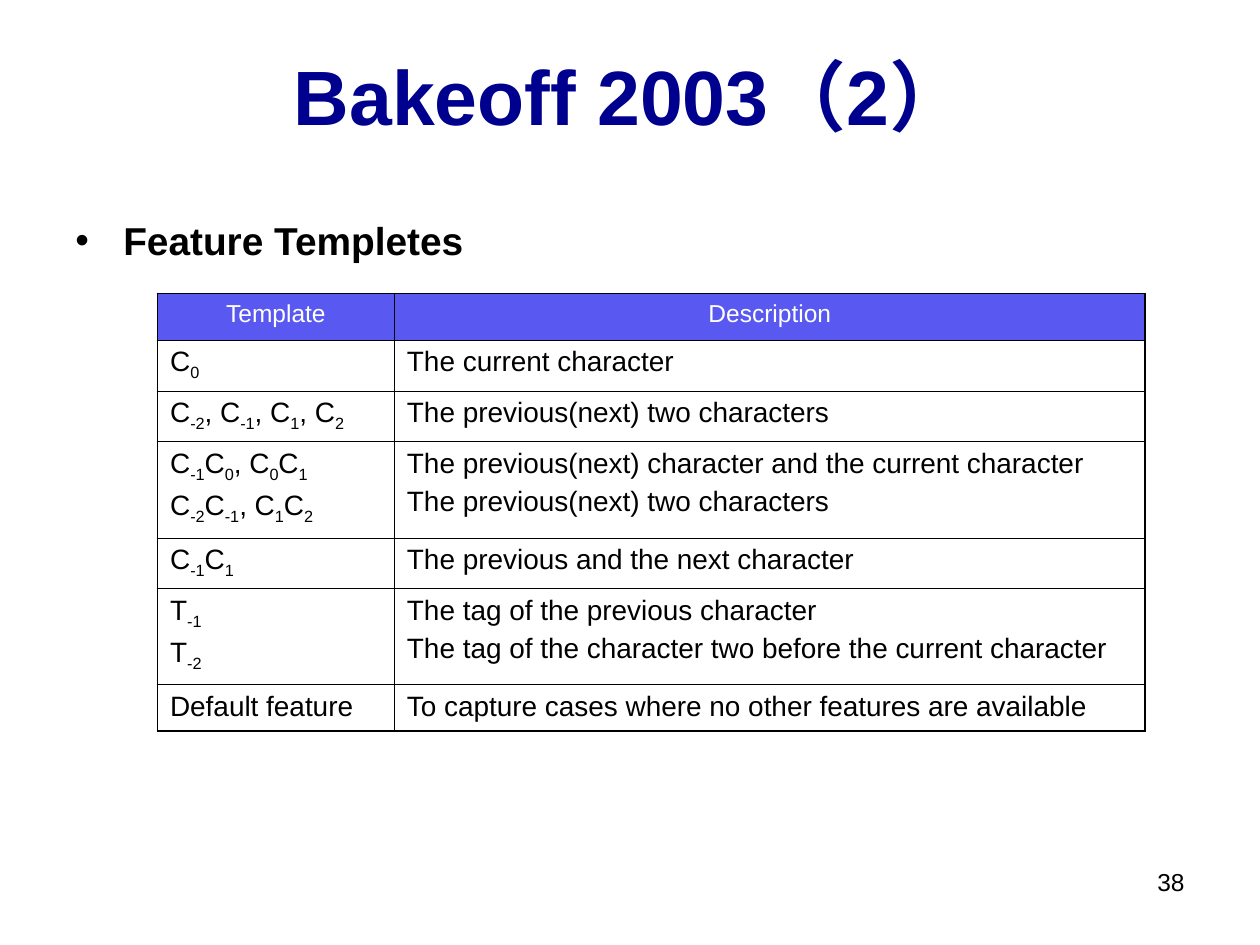
from lxml import etree
from pptx import Presentation
from pptx.dml.color import RGBColor
from pptx.enum.text import MSO_ANCHOR, PP_ALIGN
from pptx.oxml.ns import qn
from pptx.util import Inches, Pt

LEFT, CENTER, RIGHT = PP_ALIGN.LEFT, PP_ALIGN.CENTER, PP_ALIGN.RIGHT
MIDDLE, TOP = MSO_ANCHOR.MIDDLE, MSO_ANCHOR.TOP

NAVY = RGBColor(0x00, 0x00, 0x8E)
VIOLET = RGBColor(0x59, 0x59, 0xF1)
BLACK = RGBColor(0x00, 0x00, 0x00)
WHITE = RGBColor(0xFF, 0xFF, 0xFF)
FONT = "Arial"

TITLE = "Bakeoff 2003（2）"
HEADING = "Feature Templetes"
PAGE_NUMBER = "38"

# Square brackets mark subscripts; each cell is a list of paragraphs.
HEADER = (["Template"], ["Description"])
FEATURES = [
    (["C[0]"], ["The current character"]),
    (["C[-2], C[-1], C[1], C[2]"], ["The previous(next) two characters"]),
    (["C[-1]C[0], C[0]C[1]", "C[-2]C[-1], C[1]C[2]"],
     ["The previous(next) character and the current character",
      "The previous(next) two characters"]),
    (["C[-1]C[1]"], ["The previous and the next character"]),
    (["T[-1]", "T[-2]"],
     ["The tag of the previous character",
      "The tag of the character two before the current character"]),
    (["Default feature"],
     ["To capture cases where no other features are available"]),
]
COLUMN_WIDTHS = (1.88, 5.96)
ROW_HEIGHTS = (0.37, 0.39, 0.39, 0.72, 0.39, 0.72, 0.35)
OUTER_BORDER, INNER_BORDER = Pt(1.08), Pt(0.45)


def write(paragraph, text, size, color, bold=False, align=LEFT):
    """Add text run by run, lowering the parts in square brackets."""
    paragraph.alignment = align
    for index, part in enumerate(text.replace("]", "[").split("[")):
        if not part:
            continue
        run = paragraph.add_run()
        run.text = part
        font = run.font
        font.name, font.size, font.bold = FONT, Pt(size), bold
        font.color.rgb = color
        if index % 2:
            run._r.get_or_add_rPr().set("baseline", "-25000")


def add_text(slide, box, text, size, color, bold=False, align=LEFT, anchor=TOP):
    shape = slide.shapes.add_textbox(*map(Inches, box))
    frame = shape.text_frame
    frame.word_wrap = True
    frame.vertical_anchor = anchor
    paragraph = frame.paragraphs[0]
    write(paragraph, text, size, color, bold, align)
    return paragraph


def add_bullet(paragraph, indent):
    properties = paragraph._p.get_or_add_pPr()
    properties.set("marL", str(Inches(indent)))
    properties.set("indent", str(-Inches(indent)))
    color = etree.SubElement(properties, qn("a:buClr"))
    etree.SubElement(color, qn("a:srgbClr"), val=str(BLACK))
    etree.SubElement(properties, qn("a:buFont"), typeface=FONT)
    etree.SubElement(properties, qn("a:buChar"), char="•")


def set_borders(cell, outer_sides):
    properties = cell._tc.get_or_add_tcPr()
    for index, side in enumerate("LRTB"):
        width = OUTER_BORDER if side in outer_sides else INNER_BORDER
        line = etree.Element(qn(f"a:ln{side}"), w=str(width))
        fill = etree.SubElement(line, qn("a:solidFill"))
        etree.SubElement(fill, qn("a:srgbClr"), val=str(BLACK))
        properties.insert(index, line)


def add_feature_table(slide):
    rows = [HEADER] + FEATURES
    last_row, last_column = len(rows) - 1, len(COLUMN_WIDTHS) - 1
    table = slide.shapes.add_table(
        len(rows), len(COLUMN_WIDTHS), Inches(1.25), Inches(2.33),
        Inches(sum(COLUMN_WIDTHS)), Inches(sum(ROW_HEIGHTS))).table
    for column, width in zip(table.columns, COLUMN_WIDTHS):
        column.width = Inches(width)
    for row, height in zip(table.rows, ROW_HEIGHTS):
        row.height = Inches(height)

    for r, row in enumerate(rows):
        for c, lines in enumerate(row):
            cell = table.cell(r, c)
            if r == 0:
                cell.fill.solid()
                cell.fill.fore_color.rgb = VIOLET
                size, color, align = 14, WHITE, CENTER
            else:
                cell.fill.background()
                size, color, align = 16, BLACK, LEFT
            frame = cell.text_frame
            for index, line in enumerate(lines):
                if index == 0:
                    paragraph = frame.paragraphs[0]
                else:
                    paragraph = frame.add_paragraph()
                    paragraph.space_before = Pt(4)
                write(paragraph, line, size, color, align=align)
            edges = {"L": c == 0, "R": c == last_column,
                     "T": r == 0, "B": r == last_row}
            set_borders(cell, [side for side, outer in edges.items() if outer])


def main():
    presentation = Presentation()
    presentation.slide_width, presentation.slide_height = Inches(10), Inches(7.5)
    slide = presentation.slides.add_slide(presentation.slide_layouts[6])

    add_text(slide, (0, 0.25, 10, 1), TITLE, 44, NAVY, True, CENTER, MIDDLE)
    heading = add_text(slide, (0.5, 1.67, 3.58, 0.5), HEADING, 22.2, BLACK, True)
    add_bullet(heading, 0.38)
    add_feature_table(slide)
    add_text(slide, (7.17, 6.83, 2.33, 0.52), PAGE_NUMBER, 14, BLACK, align=RIGHT)

    presentation.save("out.pptx")


if __name__ == "__main__":
    main()
